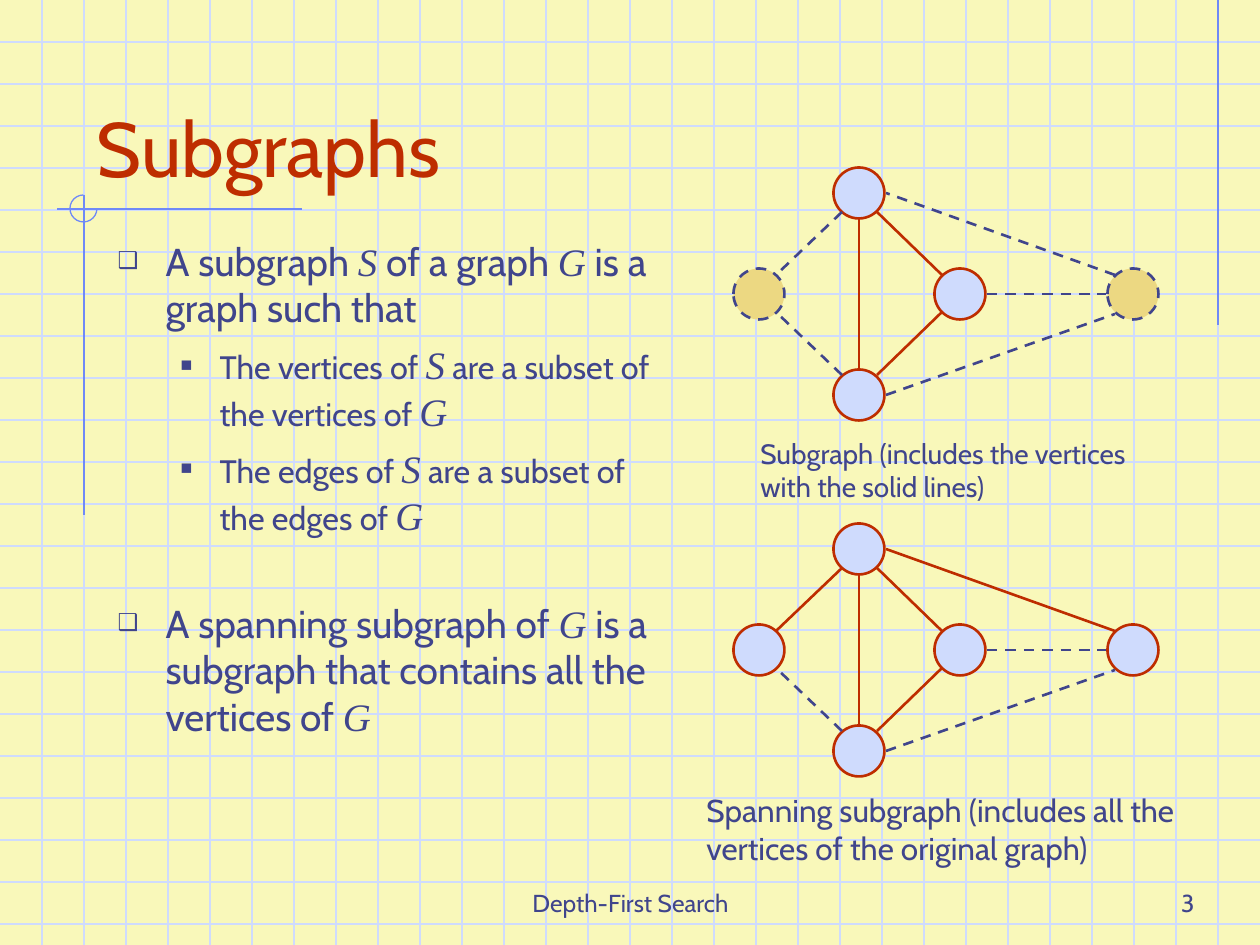
import pptx
import pptx.util
import pptx.dml.color
import pptx.enum.dml
import pptx.enum.shapes
import pptx.enum.text
import pptx.oxml
import pptx.oxml.ns
import lxml.etree

RGB = pptx.dml.color.RGBColor
PAPER = RGB(0xF9, 0xF8, 0xBA)
PALE_BLUE = RGB(0xCF, 0xDB, 0xFD)
RULE_BLUE = RGB(0x6F, 0x89, 0xF7)
INK = RGB(0x40, 0x45, 0x8C)
RED = RGB(0xBE, 0x2D, 0x00)
SAND = RGB(0xEC, 0xD8, 0x82)

WIDTH, HEIGHT, GRID_STEP = 1260, 945, 42
SCALE = 914400 / 126
TEXT_FONT, MATH_FONT = "Cabin", "Times New Roman"
ALIGN = pptx.enum.text.PP_ALIGN
ANCHOR = pptx.enum.text.MSO_ANCHOR
SHAPE = pptx.enum.shapes.MSO_SHAPE

TITLE = "Subgraphs"
# level, space before, runs as (text, is_math)
BODY = [
    (0, 0, [("A subgraph ", False), ("S", True), (" of a graph ", False),
            ("G", True), (" is a graph such that", False)]),
    (1, 6, [("The vertices of ", False), ("S", True),
            (" are a subset of the vertices of ", False), ("G", True)]),
    (1, 6, [("The edges of ", False), ("S", True),
            (" are a subset of the edges of ", False), ("G", True)]),
    (0, 35, [("A spanning subgraph of ", False), ("G", True),
             (" is a subgraph that contains all the vertices of ", False), ("G", True)]),
]
LEVELS = [
    {"bullet": "❑", "size": 22.2, "margin": 48, "indent": -48},
    {"bullet": "■", "size": 18.5, "margin": 102, "indent": -39},
]
MATH_SIZE = 22.2

TEXT_BOXES = [
    ("Depth-First Search", (431, 861, 399, 63), 14, ALIGN.CENTER, ANCHOR.BOTTOM),
    ("3", (945, 861, 262, 63), 14, ALIGN.RIGHT, ANCHOR.BOTTOM),
    ("Subgraph (includes the vertices with the solid lines)",
     (748, 430, 393, 81), 16, ALIGN.LEFT, ANCHOR.TOP),
    ("Spanning subgraph (includes all the vertices of the original graph)",
     (694, 785, 503, 126), 18, ALIGN.LEFT, ANCHOR.TOP),
]

RULES = [(1218, 0, 1218, 325), (302, 209, 57, 209), (84, 195, 84, 515)]
VERTEX_SIZE = 51
VERTICES = {"right": (960, 294), "left": (759, 294), "top": (859, 193),
            "bottom": (859, 395), "far": (1133, 294)}
EDGES = {
    "top-left": (842, 212, 776, 275),
    "bottom-left": (842, 375, 776, 312),
    "bottom-right": (877, 375, 942, 312),
    "top-right": (877, 212, 942, 275),
    "top-bottom": (859, 219, 859, 369),
    "right-far": (987, 294, 1106, 294),
    "bottom-far": (886, 395, 1115, 314),
    "far-top": (1115, 275, 886, 193),
}
GRAPHS = [
    {"drop": 0, "dashed": {"left", "far", "top-left", "bottom-left",
                           "right-far", "bottom-far", "far-top"}},
    {"drop": 356, "dashed": {"bottom-left", "right-far", "bottom-far"}},
]


def emu(px):
    return pptx.util.Emu(round(px * SCALE))


def style_line(line, color, width, dashed=False):
    line.color.rgb = color
    line.width = pptx.util.Pt(width)
    if dashed:
        line.dash_style = pptx.enum.dml.MSO_LINE.DASH


def add_line(shapes, ends, color, width, dashed=False):
    connector = shapes.add_connector(
        pptx.enum.shapes.MSO_CONNECTOR.STRAIGHT, *map(emu, ends))
    style_line(connector.line, color, width, dashed)
    lxml.etree.SubElement(connector._element.spPr, pptx.oxml.ns.qn("a:effectLst"))


def add_run(para, text, size, color, font=TEXT_FONT, italic=False):
    span = para.add_run()
    span.text = text
    span.font.size = pptx.util.Pt(size)
    span.font.name = font
    span.font.italic = italic
    span.font.color.rgb = color


def place(box, left, top, width, height):
    box.left, box.top, box.width, box.height = map(emu, (left, top, width, height))


def set_frame(frame, anchor):
    frame.word_wrap = True
    frame.auto_size = pptx.enum.text.MSO_AUTO_SIZE.NONE
    frame.vertical_anchor = anchor


def add_bullet(para, level):
    properties = para._p.get_or_add_pPr()
    properties.set("marL", str(emu(level["margin"])))
    properties.set("indent", str(emu(level["indent"])))
    color = lxml.etree.SubElement(properties, pptx.oxml.ns.qn("a:buClr"))
    lxml.etree.SubElement(color, pptx.oxml.ns.qn("a:srgbClr"), val=str(INK))
    lxml.etree.SubElement(properties, pptx.oxml.ns.qn("a:buSzPct"), val="60000")
    lxml.etree.SubElement(properties, pptx.oxml.ns.qn("a:buChar"), char=level["bullet"])


def draw_paper(page):
    page.background.fill.solid()
    page.background.fill.fore_color.rgb = PAPER
    grid = page.shapes.add_group_shape().shapes
    for y in range(GRID_STEP, HEIGHT, GRID_STEP):
        add_line(grid, (0, y, WIDTH, y), PALE_BLUE, 0.75)
    for x in range(GRID_STEP, WIDTH, GRID_STEP):
        add_line(grid, (x, 0, x, HEIGHT), PALE_BLUE, 0.75)
    for ends in RULES:
        add_line(page.shapes, ends, RULE_BLUE, 0.75)
    arc = page.shapes.add_shape(SHAPE.ARC, *map(emu, (70, 195, 27, 27)))
    arc.adjustments[0], arc.adjustments[1] = 0, 162
    arc.fill.background()
    arc.shadow.inherit = False
    style_line(arc.line, RULE_BLUE, 0.75)


def write_text(page):
    title, body = page.shapes.title, page.placeholders[1]
    for box in (title, body):
        page.shapes._spTree.append(box._element)
    place(title, 84, 42, 1071, 157)
    set_frame(title.text_frame, ANCHOR.BOTTOM)
    para = title.text_frame.paragraphs[0]
    para.alignment = ALIGN.LEFT
    add_run(para, TITLE, 44, RED)

    place(body, 105, 231, 557, 598)
    frame = body.text_frame
    set_frame(frame, ANCHOR.TOP)
    for index, (depth, gap, runs) in enumerate(BODY):
        para = frame.add_paragraph() if index else frame.paragraphs[0]
        level = LEVELS[depth]
        para.level = depth
        add_bullet(para, level)
        para.space_before = pptx.util.Pt(gap)
        for text, is_math in runs:
            add_run(para, text, MATH_SIZE if is_math else level["size"], INK,
                    MATH_FONT if is_math else TEXT_FONT, is_math)

    for text, area, size, alignment, anchor in TEXT_BOXES:
        box = page.shapes.add_textbox(*map(emu, area))
        set_frame(box.text_frame, anchor)
        para = box.text_frame.paragraphs[0]
        para.alignment = alignment
        add_run(para, text, size, INK)


def draw_graph(page, drop, dashed):
    for name, (x, y) in VERTICES.items():
        corner = (x - VERTEX_SIZE / 2, y + drop - VERTEX_SIZE / 2)
        vertex = page.shapes.add_shape(
            SHAPE.OVAL, *map(emu, (*corner, VERTEX_SIZE, VERTEX_SIZE)))
        vertex.shadow.inherit = False
        vertex.fill.solid()
        vertex.fill.fore_color.rgb = SAND if name in dashed else PALE_BLUE
        style_line(vertex.line, INK if name in dashed else RED, 1.5, name in dashed)
    for name, (x1, y1, x2, y2) in EDGES.items():
        add_line(page.shapes, (x1, y1 + drop, x2, y2 + drop),
                 INK if name in dashed else RED, 1.5, name in dashed)


def main():
    deck = pptx.Presentation()
    deck.slide_width, deck.slide_height = emu(WIDTH), emu(HEIGHT)
    page = deck.slides.add_slide(deck.slide_layouts[1])
    draw_paper(page)
    write_text(page)
    for graph in GRAPHS:
        draw_graph(page, **graph)
    deck.save("out.pptx")


if __name__ == "__main__":
    main()
